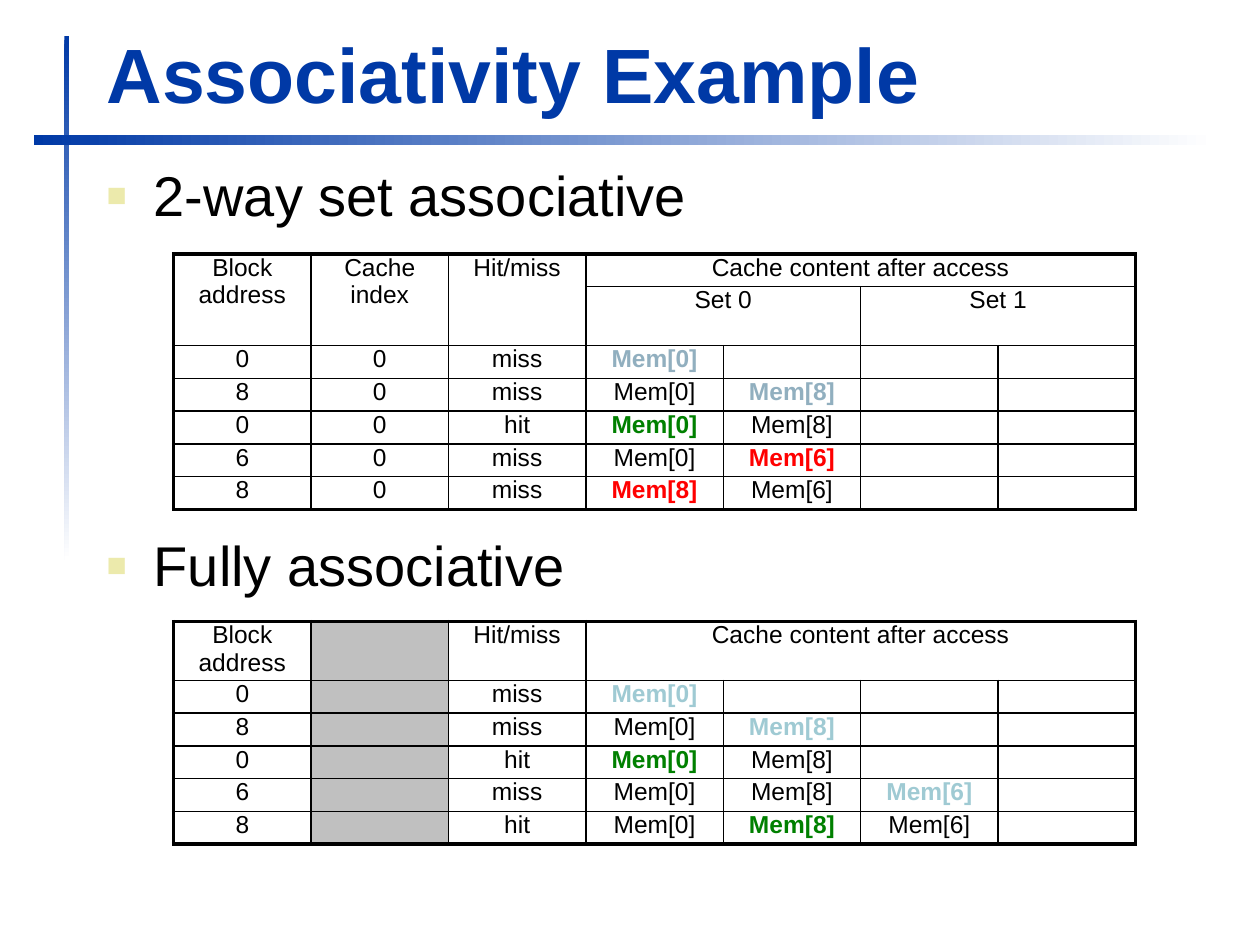
from dataclasses import dataclass

from lxml import etree
from pptx import Presentation
from pptx.dml.color import RGBColor
from pptx.enum.shapes import MSO_SHAPE
from pptx.enum.text import MSO_ANCHOR, PP_ALIGN
from pptx.oxml.ns import qn
from pptx.util import Cm, Pt

RECTANGLE = MSO_SHAPE.RECTANGLE
TOP, BOTTOM = MSO_ANCHOR.TOP, MSO_ANCHOR.BOTTOM
LEFT, CENTER = PP_ALIGN.LEFT, PP_ALIGN.CENTER


@dataclass(frozen=True)
class Theme:
    font: str = "Arial"
    title_size: int = 44
    bullet_size: int = 32
    table_size: int = 14
    blue: str = "0039A6"
    white: str = "FFFFFF"
    text: str = "000000"
    bullet: str = "ECEAAC"
    unused: str = "C0C0C0"
    filled_set: str = "91AFBF"
    filled_full: str = "9FCAD3"
    hit: str = "008000"
    replaced: str = "FF0000"
    outer_line: float = 2.25
    inner_line: float = 1


THEME = Theme()


class SlideBuilder:
    def __init__(self, slide, theme):
        self.slide = slide
        self.theme = theme

    def style(self, paragraph, size, color, bold=False, align=LEFT):
        paragraph.alignment = align
        font = paragraph.font
        font.name, font.size, font.bold = self.theme.font, Pt(size), bold
        font.color.rgb = RGBColor.from_string(color)

    def bar(self, left, top, width, height, angle):
        bar = self.slide.shapes.add_shape(
            RECTANGLE, Cm(left), Cm(top), Cm(width), Cm(height))
        bar.shadow.inherit = False
        bar.line.fill.background()
        bar.fill.gradient()
        bar.fill.gradient_angle = angle
        for stop, color in zip(bar.fill.gradient_stops,
                               (self.theme.blue, self.theme.white)):
            stop.color.rgb = RGBColor.from_string(color)

    def text(self, words, left, top, width, height, size, color,
             bold=False, anchor=TOP):
        frame = self.slide.shapes.add_textbox(
            Cm(left), Cm(top), Cm(width), Cm(height)).text_frame
        frame.word_wrap = True
        frame.vertical_anchor = anchor
        paragraph = frame.paragraphs[0]
        paragraph.text = words
        self.style(paragraph, size, color, bold)
        return paragraph

    def bullet(self, words, top, height, line_spacing=1.0):
        size = self.theme.bullet_size
        paragraph = self.text(words, 1.9, top, 22.5, height, size,
                              self.theme.text)
        paragraph.space_before = Pt(size * 0.2)
        paragraph.line_spacing = line_spacing
        props = paragraph.font._element.getparent()
        props.set("marL", str(Cm(0.95)))
        props.set("indent", str(-Cm(0.95)))
        color = etree.Element(qn("a:buClr"))
        etree.SubElement(color, qn("a:srgbClr"), val=self.theme.bullet)
        marks = (color,
                 etree.Element(qn("a:buSzPct"), val="60000"),
                 etree.Element(qn("a:buFont"), typeface=self.theme.font),
                 etree.Element(qn("a:buChar"), char="■"))
        for mark in marks:
            paragraph.font._element.addprevious(mark)

    def borders(self, cell, widths):
        props = cell._tc.get_or_add_tcPr()
        for index, (side, width) in enumerate(widths.items()):
            line = etree.Element(qn(f"a:{side}"), w=str(Pt(width)))
            fill = etree.SubElement(line, qn("a:solidFill"))
            etree.SubElement(fill, qn("a:srgbClr"), val=self.theme.text)
            props.insert(index, line)

    def cell(self, cell, content, shaded):
        words, color = content if isinstance(content, tuple) else (content, None)
        cell.margin_left = cell.margin_right = Cm(0.25)
        cell.margin_top = cell.margin_bottom = 0
        if shaded:
            cell.fill.solid()
            cell.fill.fore_color.rgb = RGBColor.from_string(self.theme.unused)
        else:
            cell.fill.background()
        paragraph = cell.text_frame.paragraphs[0]
        size = self.theme.table_size
        if words:
            paragraph.text = words
        else:
            etree.SubElement(paragraph._p, qn("a:endParaRPr"), sz=str(size * 100))
        self.style(paragraph, size, color or self.theme.text,
                   bold=color is not None, align=CENTER)

    def table(self, rows, top, heights, merges, shaded_column=None):
        """merges maps (row, column) to (row span, column span)."""
        row_count, column_count = len(rows), len(rows[0])
        frame = self.slide.shapes.add_table(
            row_count, column_count, Cm(3.5), Cm(top), Cm(19.4), Cm(sum(heights)))
        table = frame.table
        table.first_row = table.horz_banding = False
        for column in table.columns:
            column.width = Cm(2.77)
        for row, height in zip(table.rows, heights):
            row.height = Cm(height)
        for (r, c), (down, across) in merges.items():
            table.cell(r, c).merge(table.cell(r + down - 1, c + across - 1))

        outer, inner = self.theme.outer_line, self.theme.inner_line
        for r, row in enumerate(rows):
            for c, content in enumerate(row):
                cell = table.cell(r, c)
                self.cell(cell, content, c == shaded_column)
                if cell.is_spanned:
                    continue
                down, across = merges.get((r, c), (1, 1))
                self.borders(cell, {
                    "lnL": outer if c == 0 else inner,
                    "lnR": outer if c + across == column_count else inner,
                    "lnT": outer if r == 0 else inner,
                    "lnB": outer if r + down == row_count else inner})


def main():
    deck = Presentation()
    deck.slide_width, deck.slide_height = Cm(25.4), Cm(19.05)
    page = SlideBuilder(deck.slides.add_slide(deck.slide_layouts[6]), THEME)

    # Crossed bars and title
    page.bar(1.3, 0.72, 0.1, 10.58, angle=270)
    page.bar(0.69, 2.72, 23.8, 0.2, angle=0)
    page.text("Associativity Example", 1.9, 0.4, 22.94, 2.12,
              THEME.title_size, THEME.blue, bold=True, anchor=BOTTOM)

    # Cache contents, with the changed entry of each access coloured
    content = "Cache content after access"
    new_set, new_full = THEME.filled_set, THEME.filled_full
    hit, replaced = THEME.hit, THEME.replaced
    header_height, row_height = 1.11, 0.66

    # 2-way set associative
    page.bullet("2-way set associative", 3.12, 2)
    page.table(
        [["Block address", "Cache index", "Hit/miss", content, "", "", ""],
         ["", "", "", "Set 0", "", "Set 1", ""],
         ["0", "0", "miss", ("Mem[0]", new_set), "", "", ""],
         ["8", "0", "miss", "Mem[0]", ("Mem[8]", new_set), "", ""],
         ["0", "0", "hit", ("Mem[0]", hit), "Mem[8]", "", ""],
         ["6", "0", "miss", "Mem[0]", ("Mem[6]", replaced), "", ""],
         ["8", "0", "miss", ("Mem[8]", replaced), "Mem[6]", "", ""]],
        top=5.12, heights=[row_height, header_height] + [row_height] * 5,
        merges={(0, 0): (2, 1), (0, 1): (2, 1), (0, 2): (2, 1),
                (0, 3): (1, 4), (1, 3): (1, 2), (1, 5): (1, 2)})

    # Fully associative
    page.bullet("Fully associative", 10.72, 1.6, line_spacing=0.9)
    page.table(
        [["Block address", "", "Hit/miss", content, "", "", ""],
         ["0", "", "miss", ("Mem[0]", new_full), "", "", ""],
         ["8", "", "miss", "Mem[0]", ("Mem[8]", new_full), "", ""],
         ["0", "", "hit", ("Mem[0]", hit), "Mem[8]", "", ""],
         ["6", "", "miss", "Mem[0]", "Mem[8]", ("Mem[6]", new_full), ""],
         ["8", "", "hit", "Mem[0]", ("Mem[8]", hit), "Mem[6]", ""]],
        top=12.53, heights=[header_height] + [row_height] * 5,
        merges={(0, 3): (1, 4)}, shaded_column=1)

    deck.save("out.pptx")


if __name__ == "__main__":
    main()
